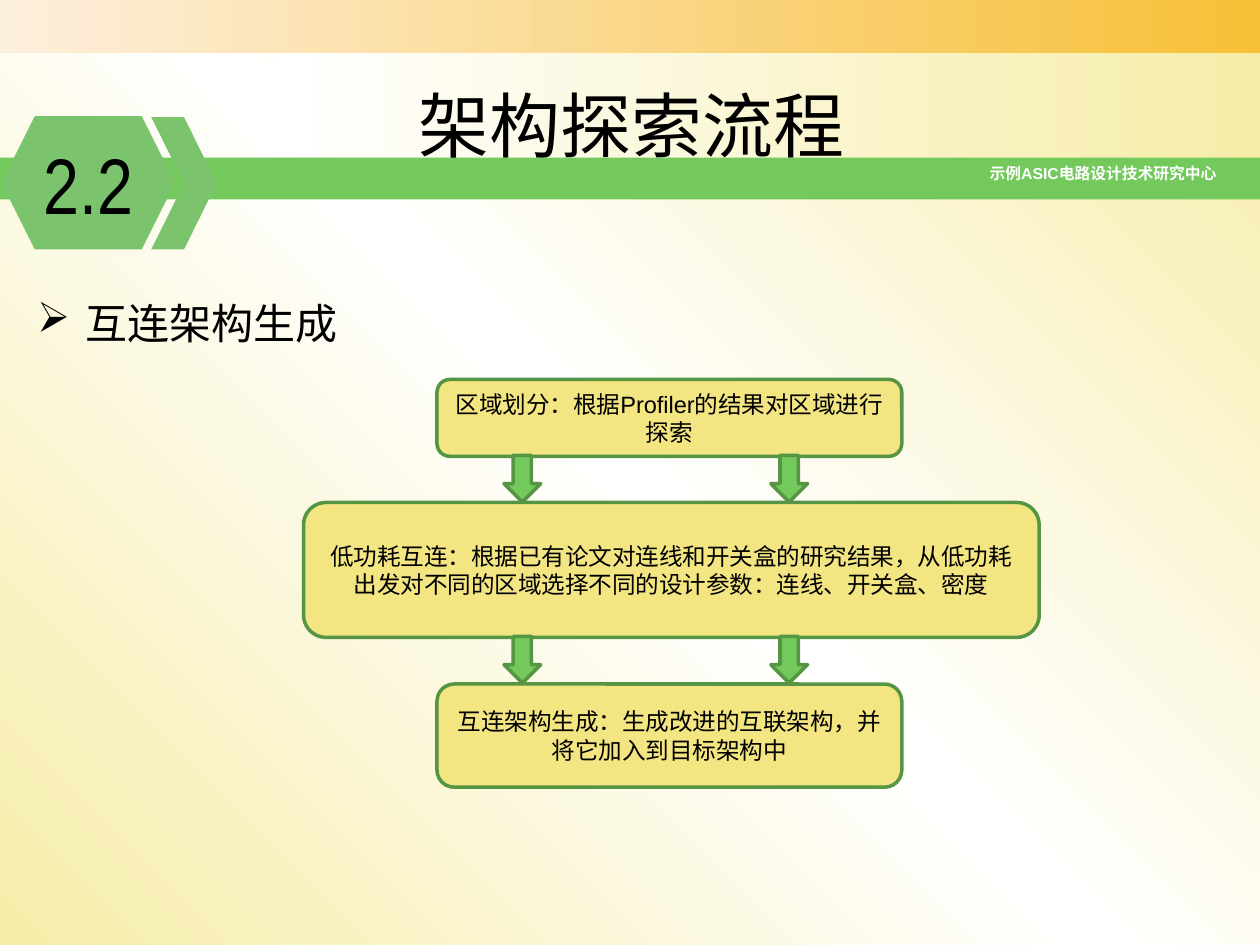
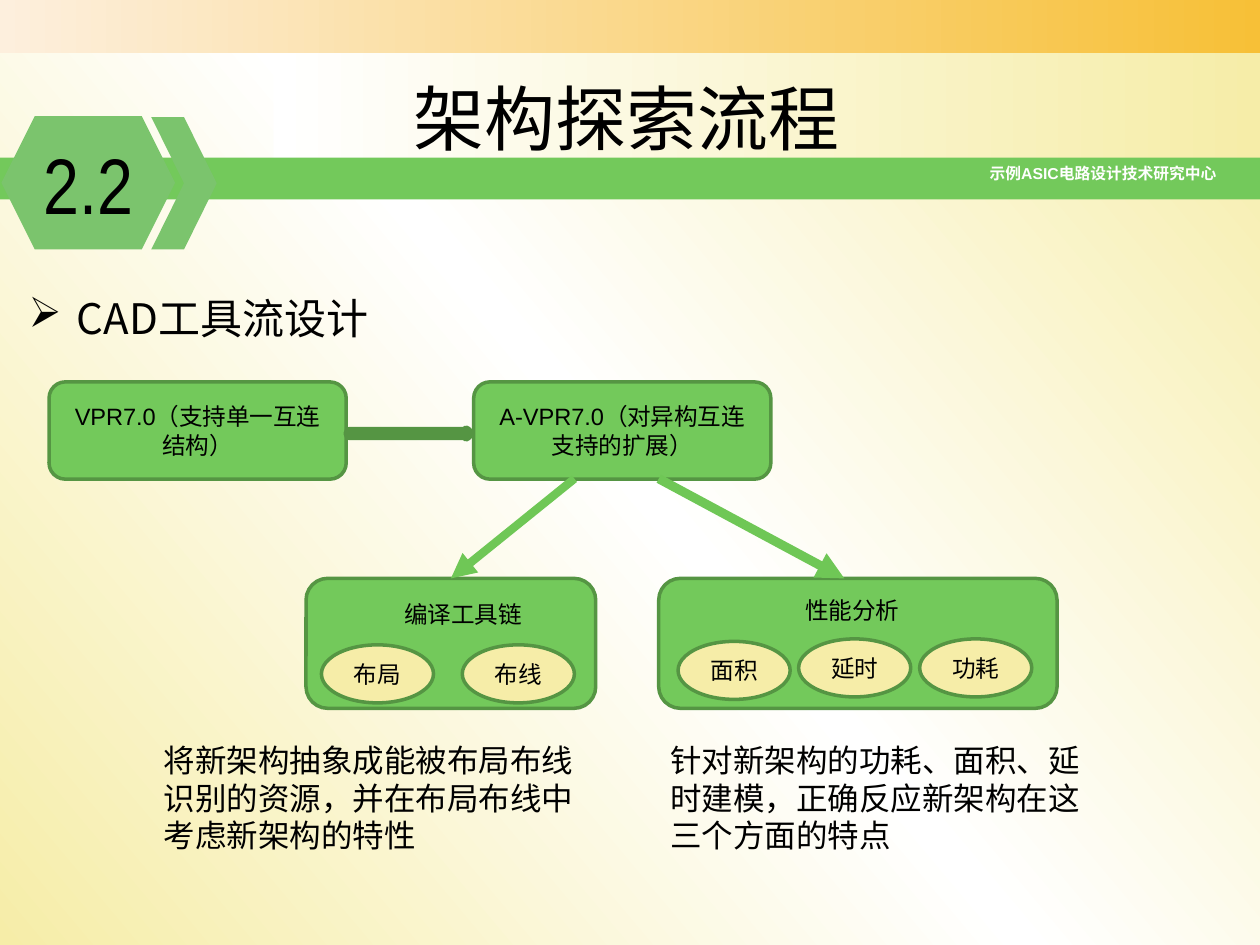
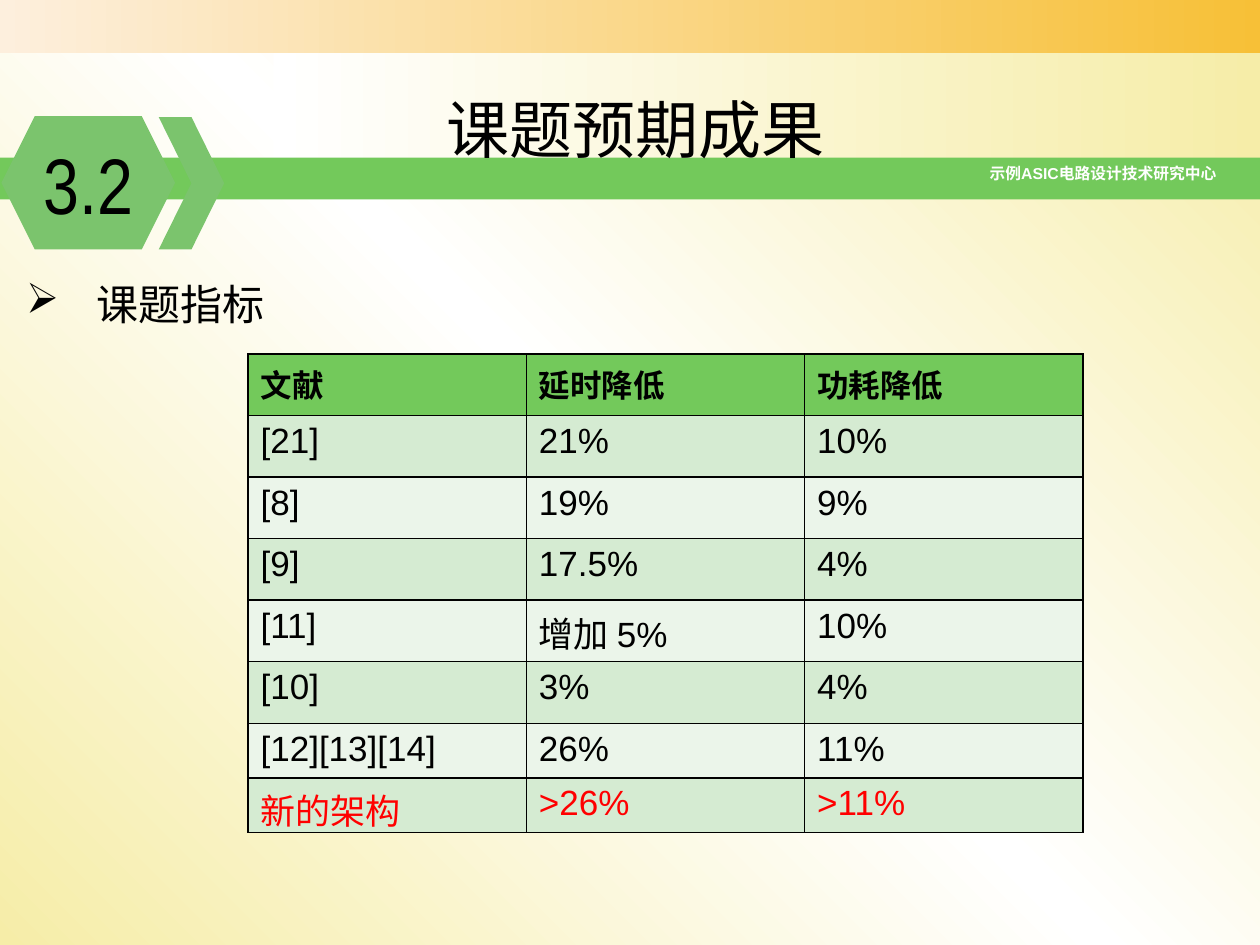
from copy import deepcopy
from dataclasses import dataclass

from lxml import etree
from pptx import Presentation, util as u
from pptx.dml import color
from pptx.enum import shapes, text
from pptx.oxml import ns


@dataclass(frozen=True)
class Theme:
    black: str = "000000"
    white: str = "FFFFFF"
    red: str = "FF0000"
    green: str = "73C95B"
    badge: str = "7BC46D"
    edge: str = "559543"
    link: str = "6FC756"
    sand: str = "F2E582"
    cream: str = "F6EDA8"
    peach: str = "FDEFDD"
    amber: str = "F7C037"
    stripes: tuple = ("EBF5EA", "D5EBD2")
    latin: str = "Arial"
    narrow: str = "Arial Narrow"
    chinese: str = "Noto Sans CJK SC"
    footer: float = 9
    label: float = 13.5
    body: float = 18
    cell: float = 20
    heading: float = 24
    number: float = 45


theme = Theme()
kinds = shapes.MSO_SHAPE
rgb = color.RGBColor.from_string


def write(frame, words, size, font=theme.latin, ink=theme.black, bold=False, align=text.PP_ALIGN.LEFT):
    frame.word_wrap = True
    para = frame.paragraphs[0]
    para.alignment = align
    span = para.add_run()
    span.text = words
    span.font.size = u.Pt(size)
    span.font.name = font
    span.font.bold = bold
    span.font.color.rgb = rgb(ink)
    etree.SubElement(span._r.get_or_add_rPr(), ns.qn("a:ea"), typeface=theme.chinese)
    return para


def draw(page, kind, at, fill, words="", edge=theme.edge, weight=2):
    box = page.shapes.add_shape(kind, *map(u.Cm, at))
    box.shadow.inherit = False
    box.fill.solid()
    box.fill.fore_color.rgb = rgb(fill)
    if edge:
        box.line.color.rgb = rgb(edge)
        box.line.width = u.Pt(weight)
    else:
        box.line.fill.background()
    if words:
        write(box.text_frame, words, theme.label, align=text.PP_ALIGN.CENTER)
    return box


deck = Presentation()
deck.slide_width, deck.slide_height = u.Cm(25.4), u.Cm(19.05)
layout = deck.slide_layouts[5]
for holder in list(layout.placeholders):
    if holder.placeholder_format.type != shapes.PP_PLACEHOLDER.TITLE:
        layout.shapes.element.remove(holder.element)

pages = [deck.slides.add_slide(layout) for _ in range(3)]
flow_page, tools_page, goals_page = pages

bands = []
for at, colours in [
    ((0, 0, 25.4, 1.07), (theme.peach, theme.amber)),
    ((5.51, 1.07, 19.89, 2.11), (theme.white, theme.cream)),
    ((0, 3.18, 25.4, 0.84), (theme.green,)),
]:
    band = draw(flow_page, kinds.RECTANGLE, at, colours[0], edge=None)
    if len(colours) > 1:
        band.fill.gradient()
        band.fill.gradient_angle = 0
        for stop, colour in zip(band.fill.gradient_stops, colours):
            stop.color.rgb = rgb(colour)
    bands.append(band)
centre = flow_page.shapes.add_textbox(*map(u.Cm, (1.27, 3.18, 23.5, 0.66)))
write(centre.text_frame, "示例ASIC电路设计技术研究中心", theme.footer, ink=theme.white,
      bold=True, align=text.PP_ALIGN.RIGHT)
for place, part in enumerate(bands + [centre], 2):
    layout.shapes.element.insert(place, part.element)

for page, angle, title, title_at, title_size, number, chevron_left, heading, heading_at, indents, spaced in [
    (flow_page, 45, "架构探索流程", (8.18, 0.66, 9.68, 2.84), 40.5, "2.2", 3.05,
     "互连架构生成", (0.2, 5.36, 12.83, 1.8), (1.27, -0.97), True),
    (tools_page, 40, "架构探索流程", (8.08, 0.53, 9.68, 2.84), 40.5, "2.2", 3.05,
     "CAD工具流设计", (0.03, 5.26, 12.83, 1.8), (1.27, -0.97), True),
    (goals_page, 45, "课题预期成果", (8.74, 0.94, 8.59, 2.57), 36, "3.2", 3.2,
     "课题指标", (0.28, 5.49, 12.83, 1.27), (1.42, -1.42), False),
]:
    fill = page.background.fill
    fill.gradient()
    fill.gradient_angle = angle
    stop_list = next(page.element.iter(ns.qn("a:gsLst")))
    stop_list.insert(1, deepcopy(stop_list[0]))
    for stop, position, colour in zip(fill.gradient_stops, (0, 0.5, 1), (theme.cream, theme.white, theme.cream)):
        stop.position = position
        stop.color.rgb = rgb(colour)

    box = page.shapes.title
    box.left, box.top, box.width, box.height = map(u.Cm, title_at)
    frame = box.text_frame
    frame.auto_size = text.MSO_AUTO_SIZE.NONE
    frame.vertical_anchor = text.MSO_ANCHOR.TOP
    para = write(frame, title, title_size, theme.chinese)
    para.line_spacing, para.space_before = 1.5, u.Pt(9)

    badge = draw(page, kinds.HEXAGON, (0.03, 2.34, 3.5, 2.69), theme.badge, edge=None)
    write(badge.text_frame, number, theme.number, theme.narrow, align=text.PP_ALIGN.CENTER)
    badge.text_frame.word_wrap = False
    draw(page, kinds.CHEVRON, (chevron_left, 2.36, 1.32, 2.67), theme.badge, edge=None)

    box = page.shapes.add_textbox(*map(u.Cm, heading_at))
    para = write(box.text_frame, heading, theme.heading, theme.chinese)
    if spaced:
        para.line_spacing, para.space_before = 1.5, u.Pt(9)
    settings = para._p.get_or_add_pPr()
    for name, length in zip(("marL", "indent"), indents):
        settings.set(name, str(u.Cm(length)))
    etree.SubElement(settings, ns.qn("a:buChar"), char="➢")

for at, words in [
    ((8.81, 7.65, 9.37, 1.55), "区域划分：根据Profiler的结果对区域进行探索"),
    ((6.12, 10.13, 14.83, 2.72),
     "低功耗互连：根据已有论文对连线和开关盒的研究结果，从低功耗出发对不同的区域选择不同的设计参数：连线、开关盒、密度"),
    ((8.81, 13.79, 9.37, 2.08), "互连架构生成：生成改进的互联架构，并将它加入到目标架构中"),
]:
    draw(flow_page, kinds.ROUNDED_RECTANGLE, at, theme.sand, words)
for top in (9.18, 12.83):
    for left in (10.16, 15.54):
        draw(flow_page, kinds.DOWN_ARROW, (left, top, 0.74, 0.94), theme.green)

for left, words in [(0.99, "VPR7.0（支持单一互连结构）"), (9.55, "A-VPR7.0（对异构互连支持的扩展）")]:
    draw(tools_page, kinds.ROUNDED_RECTANGLE, (left, 7.7, 5.99, 1.96), theme.green, words)
draw(tools_page, kinds.RIGHT_ARROW, (7.04, 8.69, 2.41, 0.1), theme.green, weight=6.25)

for left, width, label, label_at, steps, note, note_left in [
    (6.17, 5.84, "编译工具链", (7.9, 11.96, 2.9, 0.84),
     [("布局", 6.48, 13), ("布线", 9.32, 13)],
     "将新架构抽象成能被布局布线识别的资源，并在布局布线中考虑新架构的特性", 3.05),
    (13.28, 8.03, "性能分析", (15.98, 11.89, 2.9, 0.84),
     [("面积", 13.67, 12.93), ("延时", 16.1, 12.88), ("功耗", 18.54, 12.88)],
     "针对新架构的功耗、面积、延时建模，正确反应新架构在这三个方面的特点", 13.26),
]:
    draw(tools_page, kinds.ROUNDED_RECTANGLE, (left, 11.66, width, 2.62), theme.green)
    for words, step_left, step_top in steps:
        draw(tools_page, kinds.OVAL, (step_left, step_top, 2.26, 1.17), theme.cream, words)
    for at, words, size in [(label_at, label, theme.label), ((note_left, 14.81, 8.94, 2.57), note, theme.body)]:
        box = tools_page.shapes.add_textbox(*map(u.Cm, at))
        write(box.text_frame, words, size)

for ends, weight in [((11.58, 9.65, 9.09, 11.66), 4.75), ((13.28, 9.65, 17.02, 11.66), 5.25)]:
    arrow = tools_page.shapes.add_connector(shapes.MSO_CONNECTOR.STRAIGHT, *map(u.Cm, ends))
    arrow.line.color.rgb = rgb(theme.link)
    arrow.line.width = u.Pt(weight)
    etree.SubElement(arrow.line._get_or_add_ln(), ns.qn("a:tailEnd"), type="triangle")
    etree.SubElement(arrow.element.spPr, ns.qn("a:effectLst"))

rows = [
    ("文献", "延时降低", "功耗降低"),
    ("[21]", "21%", "10%"),
    ("[8]", "19%", "9%"),
    ("[9]", "17.5%", "4%"),
    ("[11]", "增加 5%", "10%"),
    ("[10]", "3%", "4%"),
    ("[12][13][14]", "26%", "11%"),
    ("新的架构", ">26%", ">11%"),
]
heights = [1.24] * 6 + [0.99] * 2
table = goals_page.shapes.add_table(len(rows), 3, *map(u.Cm, (5, 7.14, 16.83, sum(heights)))).table
for column in table.columns:
    column.width = u.Cm(5.61)
for index, (values, height) in enumerate(zip(rows, heights)):
    header = index == 0
    table.rows[index].height = u.Cm(height)
    for cell, words in zip(table.rows[index].cells, values):
        write(cell.text_frame, words, theme.body if header else theme.cell, bold=header,
              ink=theme.red if values == rows[-1] else theme.black)
        cell.fill.solid()
        cell.fill.fore_color.rgb = rgb(theme.green if header else theme.stripes[index % 2])
        settings = cell._tc.get_or_add_tcPr()
        for place, side in enumerate(("lnL", "lnR", "lnT", "lnB")):
            border = etree.Element(ns.qn(f"a:{side}"), w=str(u.Pt(1)))
            paint = etree.SubElement(border, ns.qn("a:solidFill"))
            etree.SubElement(paint, ns.qn("a:srgbClr"), val=theme.black)
            settings.insert(place, border)

deck.save("out.pptx")
